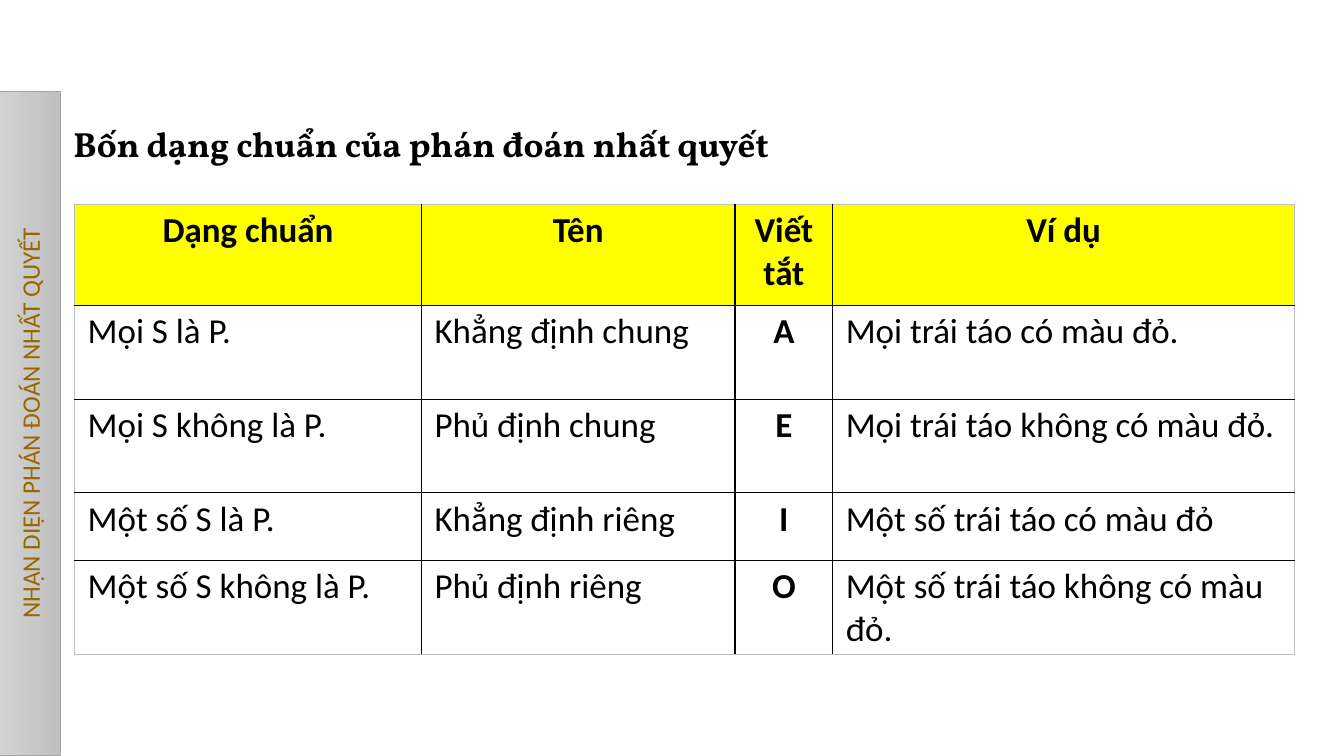
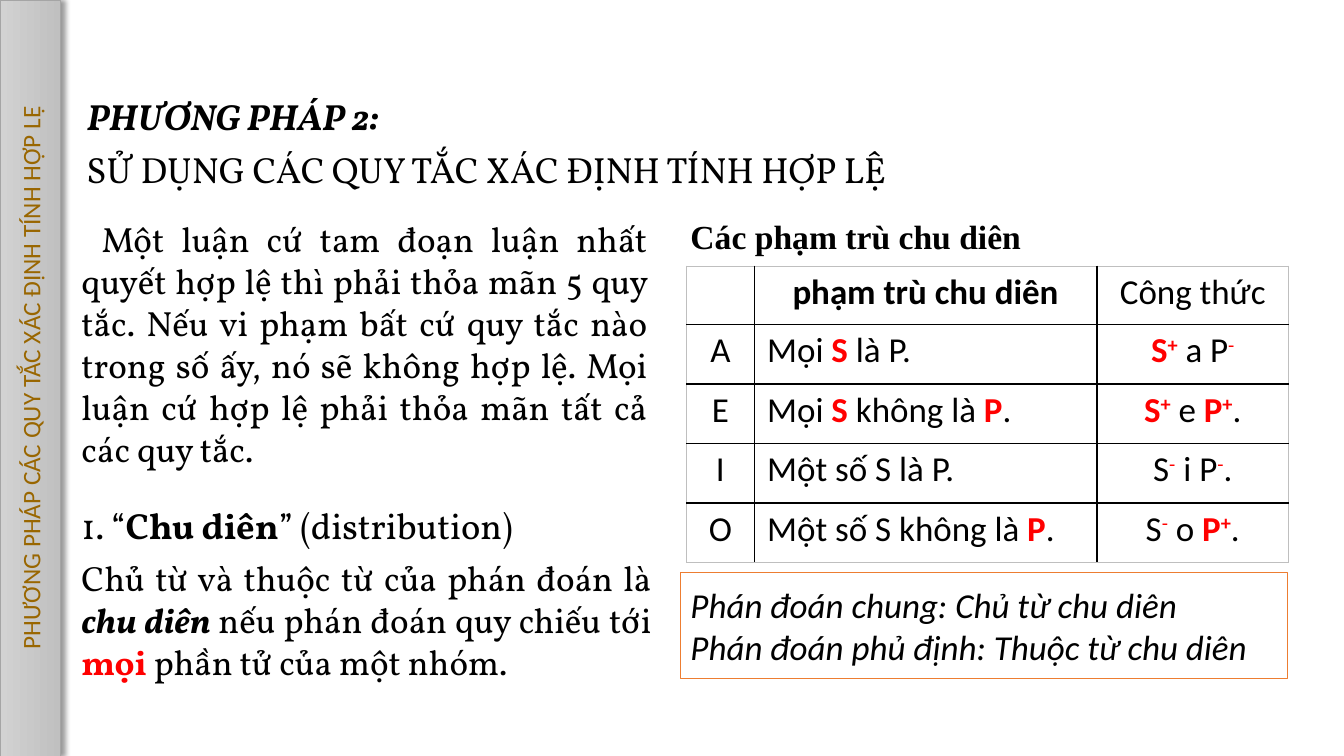
from lxml import etree
from pptx import Presentation
from pptx.dml.color import RGBColor
from pptx.enum.shapes import MSO_SHAPE as Shape
from pptx.enum.text import MSO_ANCHOR as Anchor, PP_ALIGN as Align
from pptx.oxml import parse_xml
from pptx.oxml.ns import nsdecls, qn
from pptx.util import Pt

PX = 9144  # 100 px to the inch
COLORS = {
    "ink": "000000", "accent": "FF0000", "header": "FFFF00", "paper": "FFFFFF",
    "band_light": "D2D2D2", "band_dark": "C0C0C0", "band_edge": "A5A5A5",
    "band_text": "996600", "frame": "ED7D31", "table_edge": "BFBFBF",
}
SERIF, SANS, TIMES = "Vollkorn", "Calibri", "Times New Roman"


def rgb(name):
    return RGBColor.from_string(COLORS[name])


def write(frame, *paragraphs, font=SANS, size=25, color="ink", align=Align.LEFT, indent=0):
    """Each paragraph is a string or a list of strings and (text, flags) runs.

    Flags: b bold, i italic, r red, ^ superscript.
    """
    frame.word_wrap = True
    for number, runs in enumerate(paragraphs):
        paragraph = frame.add_paragraph() if number else frame.paragraphs[0]
        paragraph.alignment = align
        if indent:
            paragraph._p.get_or_add_pPr().set("indent", str(indent * PX))
        for part in [runs] if isinstance(runs, (str, tuple)) else runs:
            words, flags = (part, "") if isinstance(part, str) else part
            run = paragraph.add_run()
            run.text = words
            run.font.name, run.font.size = font, Pt(size)
            run.font.bold, run.font.italic = "b" in flags, "i" in flags
            run.font.color.rgb = rgb("accent" if "r" in flags else color)
            if "^" in flags:
                run.font._element.set("baseline", "30000")


def add_grid(slide, left, top, widths, heights, rows, centered, header_fill):
    """Ruled table with a centred header row, black inner and pale outer lines."""
    grid = slide.shapes.add_table(
        len(heights), len(widths), left * PX, top * PX, sum(widths) * PX, sum(heights) * PX).table
    for column, width in zip(grid.columns, widths):
        column.width = width * PX
    for line, height in zip(grid.rows, heights):
        line.height = height * PX
    for r, row in enumerate(rows):
        for c, content in enumerate(row):
            cell = grid.cell(r, c)
            cell.margin_left = cell.margin_right = 13 * PX
            cell.margin_top = cell.margin_bottom = 5 * PX
            outer = {"L": c == 0, "R": c == len(widths) - 1, "T": r == 0, "B": r == len(heights) - 1}
            for side, at_edge in outer.items():
                border = etree.SubElement(cell._tc.get_or_add_tcPr(), qn(f"a:ln{side}"), w="12700")
                solid = etree.SubElement(border, qn("a:solidFill"))
                shade = COLORS["table_edge" if at_edge else "ink"]
                etree.SubElement(solid, qn("a:srgbClr"), val=shade)
            cell.fill.solid()
            cell.fill.fore_color.rgb = rgb("paper" if r else header_fill)
            if content:
                middle = r == 0 or c in centered
                write(cell.text_frame, content, align=Align.CENTER if middle else Align.LEFT)


deck = Presentation()
deck.slide_width, deck.slide_height = 1333 * PX, 750 * PX

# Side bands: section, left, top, length, shadow
sections = [
    ("NHẬN DIỆN PHÁN ĐOÁN NHẤT QUYẾT", -300, 390, 659, False),
    ("PHƯƠNG PHÁP CÁC QUY TẮC XÁC ĐỊNH TÍNH HỢP LỆ", -345, 345, 750, True),
]
slides = []
for section, left, top, length, shadowed in sections:
    slide = deck.slides.add_slide(deck.slide_layouts[6])
    slides.append(slide)
    band = slide.shapes.add_shape(Shape.RECTANGLE, left * PX, top * PX, length * PX, 60 * PX)
    band.rotation = 270
    band.shadow.inherit = False
    band.fill.gradient()
    band.fill.gradient_angle = 270
    for stop, shade in zip(band.fill.gradient_stops, ("band_light", "band_dark")):
        stop.color.rgb = rgb(shade)
    band.line.color.rgb = rgb("band_edge")
    band.line.width = Pt(0.5)
    if shadowed:
        band._element.spPr.find(qn("a:effectLst")).append(parse_xml(
            f'<a:outerShdw {nsdecls("a")} blurRad="50800" dist="38100" dir="0" rotWithShape="0">'
            '<a:srgbClr val="000000"><a:alpha val="40000"/></a:srgbClr></a:outerShdw>'))
    band.text_frame.vertical_anchor = Anchor.MIDDLE
    write(band.text_frame, section, size=18, color="band_text", align=Align.CENTER)
forms_slide, rules_slide = slides

# Text boxes: slide, (left, top, width, height), runs, format
passages = [
    (forms_slide, (63, 117, 1007, 52), ("Bốn dạng chuẩn của phán đoán nhất quyết", "b"), {}),
    (rules_slide, (76, 88, 338, 54), ("PHƯƠNG PHÁP 2:", "bi"), {"size": 26}),
    (rules_slide, (76, 141, 904, 54), "SỬ DỤNG CÁC QUY TẮC XÁC ĐỊNH TÍNH HỢP LỆ", {"size": 26}),
    (rules_slide, (71, 211, 581, 262),
     "Một luận cứ tam đoạn luận nhất quyết hợp lệ thì phải thỏa mãn 5 quy tắc. "
     "Nếu vi phạm bất cứ quy tắc nào trong số ấy, nó sẽ không hợp lệ. "
     "Mọi luận cứ hợp lệ phải thỏa mãn tất cả các quy tắc.",
     {"align": Align.JUSTIFY, "indent": 20}),
    (rules_slide, (71, 494, 543, 54), ["1. “", ("Chu diên", "b"), "” (distribution)"], {"size": 26}),
    (rules_slide, (71, 547, 585, 136),
     ["Chủ từ và thuộc từ của phán đoán là ", ("chu diên ", "bi"),
      "nếu phán đoán quy chiếu tới ", ("mọi", "br"), " phần tử của một nhóm."],
     {"align": Align.JUSTIFY}),
    (rules_slide, (675, 209, 424, 51), ("Các phạm trù chu diên", "b"), {"font": TIMES, "size": 24}),
]
for slide, place, runs, style in passages:
    passage = slide.shapes.add_textbox(*(length * PX for length in place))
    write(passage.text_frame, runs, **{"font": SERIF, **style})

standard_forms = [
    [(title, "b") for title in ("Dạng chuẩn", "Tên", "Viết tắt", "Ví dụ")],
    ["Mọi S là P.", "Khẳng định chung", ("A", "b"), "Mọi trái táo có màu đỏ."],
    ["Mọi S không là P.", "Phủ định chung", ("E", "b"), "Mọi trái táo không có màu đỏ."],
    ["Một số S là P.", "Khẳng định riêng", ("I", "b"), "Một số trái táo có màu đỏ"],
    ["Một số S không là P.", "Phủ định riêng", ("O", "b"), "Một số trái táo không có màu đỏ."],
]
add_grid(forms_slide, 74, 203, [344, 311, 97, 458], [100, 93, 93, 67, 93],
         standard_forms, centered={2}, header_fill="header")

S, P, PLUS, MINUS = ("S", "br"), ("P", "br"), ("+", "br^"), ("-", "r^")
distribution = [
    ["", ("phạm trù chu diên", "b"), "Công thức"],
    ["A", ["Mọi ", S, " là P."], [S, PLUS, " a P", MINUS]],
    ["E", ["Mọi ", S, " không là ", P, "."], [S, PLUS, " e ", P, PLUS, "."]],
    ["I", "Một số S là P.", ["S", MINUS, " i P", MINUS, "."]],
    ["O", ["Một số S không là ", P, "."], ["S", MINUS, " o ", P, PLUS, "."]],
]
add_grid(rules_slide, 681, 264, [67, 340, 190], [58] + [59] * 4,
         distribution, centered={0, 2}, header_fill="paper")

summary = rules_slide.shapes.add_shape(Shape.RECTANGLE, 675 * PX, 568 * PX, 602 * PX, 105 * PX)
summary.shadow.inherit = False
summary.fill.solid()
summary.fill.fore_color.rgb = rgb("paper")
summary.line.color.rgb = rgb("frame")
summary.line.width = Pt(1)
summary.text_frame.vertical_anchor = Anchor.MIDDLE
write(summary.text_frame, ("Phán đoán chung: Chủ từ chu diên", "i"),
      ("Phán đoán phủ định: Thuộc từ chu diên", "i"))

deck.save("out.pptx")
